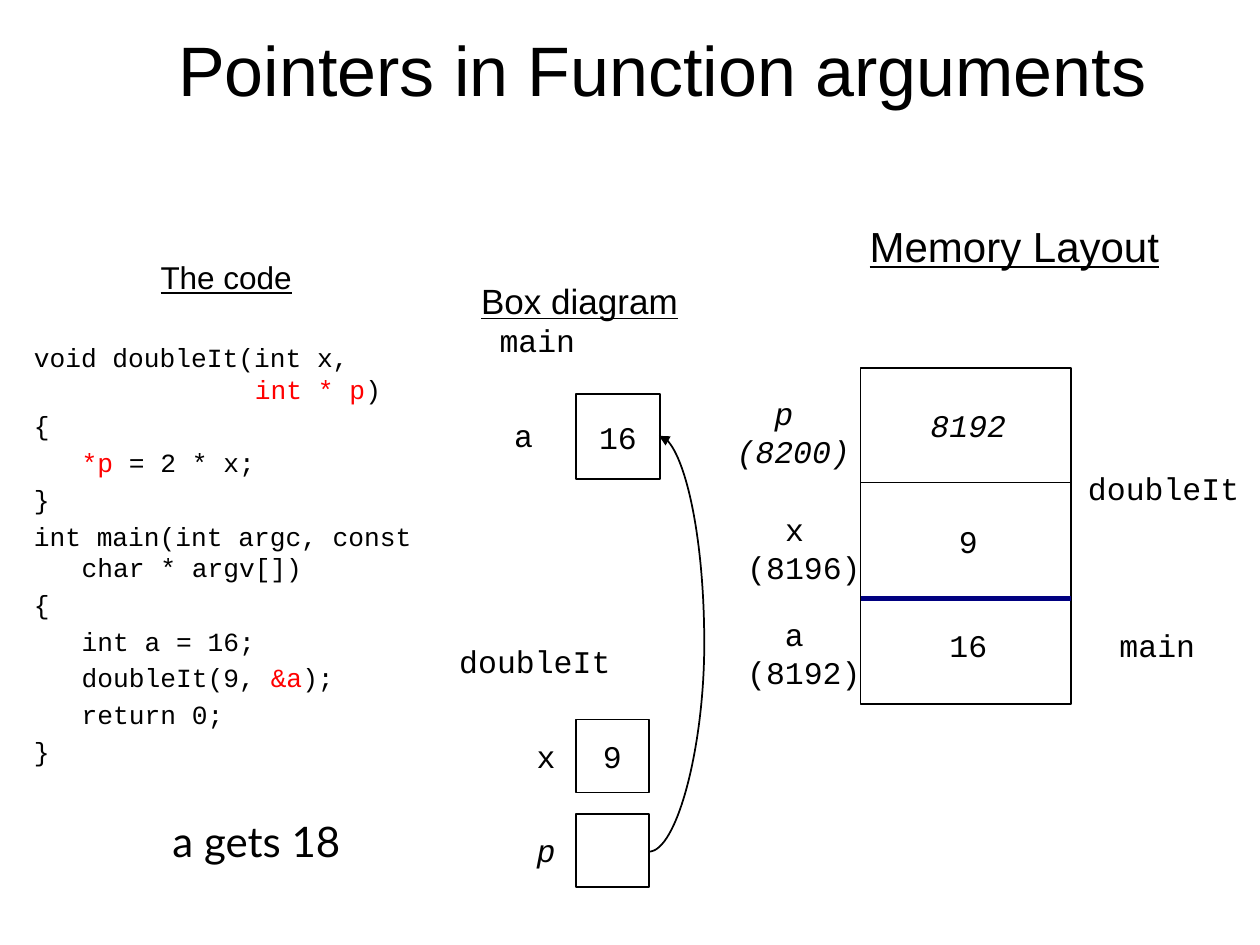
from pptx import Presentation
from pptx.dml.color import RGBColor
from pptx.enum import shapes, text
from pptx.oxml import ns
from pptx.util import Inches, Pt
from lxml import etree

BLACK = RGBColor(0, 0, 0)
WHITE = RGBColor(255, 255, 255)
RED = RGBColor(255, 0, 0)
NAVY = RGBColor(0, 0, 128)
SANS, MONO = "Arial", "Courier New"

# Each code line is a list of pieces; red pieces start with "!"
CODE = [
    ["void doubleIt(int x, \v           ", "!int * p", ")"],
    ["{"],
    ["\t", "!*p", " = 2 * x;"],
    ["}"],
    ["int main(int argc, const char * argv[])"],
    ["{"],
    ["\tint a = 16;"],
    ["\tdoubleIt(9, ", "!&a", ");"],
    ["\treturn 0;"],
    ["}"],
]


def style(para, size, face, under=None, slant=None):
    font = para.font
    font.size, font.name, font.color.rgb = Pt(size), face, BLACK
    font.underline, font.italic = under, slant


def label(slide, words, x, y, w, h, size=18, face=MONO, under=None, slant=None):
    box = slide.shapes.add_textbox(Inches(x), Inches(y), Inches(w), Inches(h))
    frame = box.text_frame
    frame.word_wrap = False
    para = frame.paragraphs[0]
    para.text = words
    para.alignment = text.PP_ALIGN.CENTER
    style(para, size, face, under, slant)
    return frame


def cell(slide, x, y, w, h, words=""):
    box = slide.shapes.add_shape(shapes.MSO_SHAPE.RECTANGLE,
                                 Inches(x), Inches(y), Inches(w), Inches(h))
    box.shadow.inherit = False
    box.fill.solid()
    box.fill.fore_color.rgb = WHITE
    box.line.color.rgb = BLACK
    box.line.width = Pt(1)
    if words:
        frame = box.text_frame
        frame.word_wrap = False
        frame.vertical_anchor = text.MSO_ANCHOR.MIDDLE
        para = frame.paragraphs[0]
        para.text = words
        para.alignment = text.PP_ALIGN.CENTER
        style(para, 18, MONO)


def line(slide, kind, x1, y1, x2, y2, color=BLACK, width=1):
    link = slide.shapes.add_connector(kind, Inches(x1), Inches(y1),
                                      Inches(x2), Inches(y2))
    link.line.color.rgb = color
    link.line.width = Pt(width)
    etree.SubElement(link._element.spPr, ns.qn("a:effectLst"))
    return link


def arrow(slide, x1, y1, x2, y2, bend):
    link = line(slide, shapes.MSO_CONNECTOR.CURVE, x1, y1, x2, y2)
    props = link._element.spPr
    etree.SubElement(props.find(ns.qn("a:ln")), ns.qn("a:tailEnd"), type="triangle")
    guides = props.find(ns.qn("a:prstGeom")).get_or_add_avLst()
    etree.SubElement(guides, ns.qn("a:gd"), name="adj1", fmla=f"val {bend}")


def code(slide, x, y, w, h):
    frame = label(slide, "The code", x, y, w, h, 18, SANS, True)
    frame.word_wrap = True
    for i, parts in enumerate(CODE):
        para = frame.add_paragraph()
        props = para._p.get_or_add_pPr()
        props.set("marL", str(Inches(0.38)))
        props.set("indent", str(Inches(-0.38)))
        para.space_before = Pt(3 if i else 26)
        style(para, 15, MONO)
        for part in parts:
            for j, words in enumerate(part.lstrip("!").split("\v")):
                if j:
                    para.add_line_break()
                run = para.add_run()
                run.text = words
                if part.startswith("!"):
                    run.font.color.rgb = RED


def boxes(slide):
    label(slide, "Box diagram", 3.13, 2.17, 2.94, 0.61, 20, SANS, True)
    label(slide, "main", 3.83, 2.5, 0.87, 0.43)
    label(slide, "a", 3.97, 3.25, 0.37, 0.43)
    cell(slide, 4.57, 3.13, 0.67, 0.67, "16")
    label(slide, "doubleIt", 3.48, 5.05, 1.53, 0.43)
    for name, value, y, slant in (("x", "9", 5.71, None), ("p", "", 6.46, True)):
        cell(slide, 4.57, y, 0.58, 0.58, value)
        label(slide, name, 4.15, y + 0.09, 0.37, 0.43, slant=slant)
    arrow(slide, 5.15, 6.76, 5.23, 3.46, 550000)


def memory(slide):
    left, right = 6.83, 8.5
    label(slide, "Memory Layout", 6.5, 1.7, 3.1, 0.9, 24, SANS, True)
    cell(slide, left, 2.92, right - left, 2.67)
    for y, color, width in ((3.83, BLACK, 1), (4.75, NAVY, 3)):
        line(slide, shapes.MSO_CONNECTOR.STRAIGHT, left, y, right, y, color, width)
    # Name and address on the left, value inside
    rows = (
        ("p \v(8200)", 5.67, 1.25, "8192", 3.08, True),
        ("x \v(8196)", 5.67, 1.42, "9", 4, None),
        ("a \v(8192)", 5.83, 1.1, "16", 4.83, None),
    )
    for name, x, w, value, y, slant in rows:
        label(slide, name, x, y, w, 0.7, slant=slant)
        label(slide, value, 7.25, y + 0.09, 0.87, 0.43, slant=slant)
    # Owning functions
    label(slide, "doubleIt", 8.47, 3.67, 1.53, 0.43)
    label(slide, "main", 8.75, 4.92, 0.87, 0.43)


def main():
    deck = Presentation()
    deck.slide_width, deck.slide_height = Inches(10), Inches(7.5)
    slide = deck.slides.add_slide(deck.slide_layouts[6])
    # Title
    head = label(slide, "Pointers in Function arguments",
                 0.67, 0.17, 9.17, 0.75, 40, SANS)
    head.vertical_anchor = text.MSO_ANCHOR.MIDDLE
    # Three columns
    code(slide, 0.17, 2, 3.25, 5.17)
    boxes(slide)
    memory(slide)
    # Result
    label(slide, "a gets 18", 1.25, 6.42, 1.57, 0.5, 24, "Lato")
    deck.save("out.pptx")


if __name__ == "__main__":
    main()
